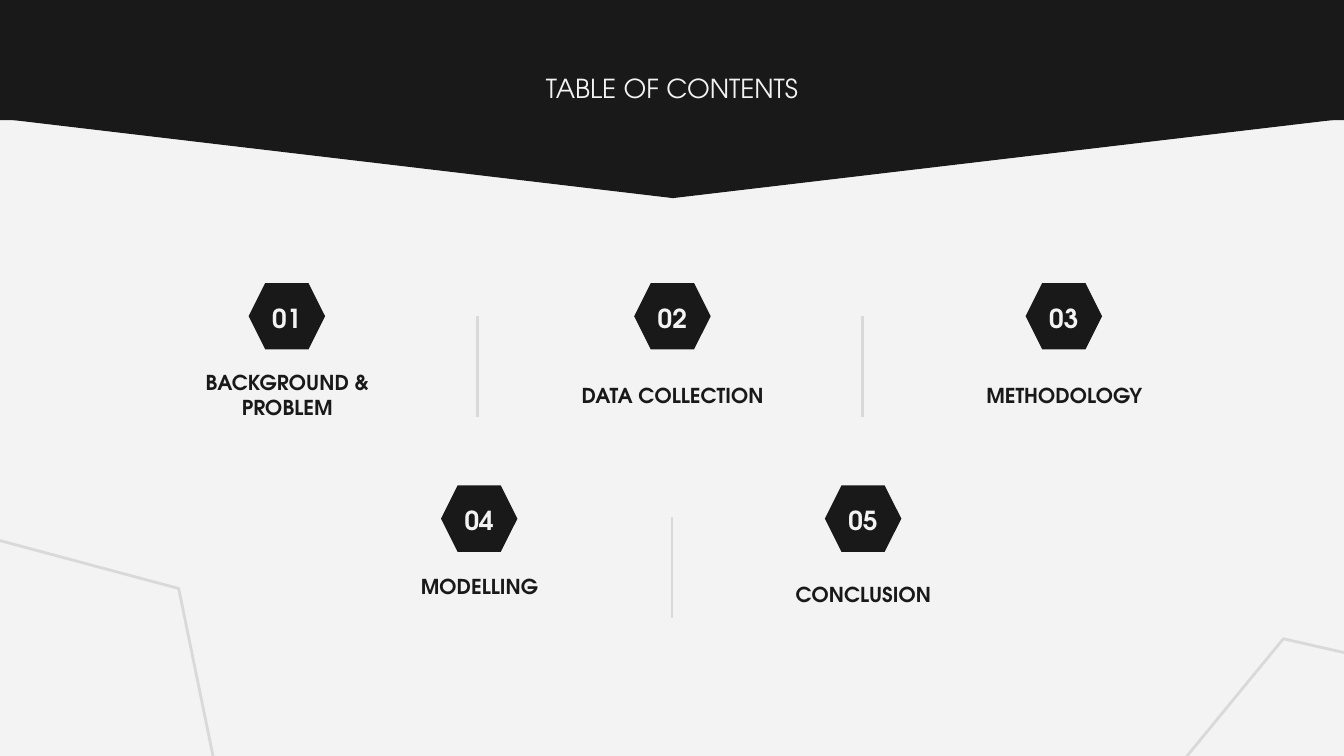
"""Build the table of contents slide: a pointed header band and five numbered sections."""
from lxml import etree
from pptx import Presentation
from pptx.dml.color import RGBColor
from pptx.enum import shapes, text
from pptx.oxml.ns import qn
from pptx.util import Pt

PX = 5715
THEME = {
    "font": "TeX Gyre Adventor",
    "dark": RGBColor.from_string("191919"),
    "light": RGBColor.from_string("F3F3F3"),
    "rule": RGBColor.from_string("D9D9D9"),
    "heading": Pt(14),
    "label": Pt(11),
    "rule_width": Pt(1.5),
    "edge_width": Pt(0.75),
}
KIND = shapes.MSO_SHAPE


def add_shape(kind, box, fill=None, line=None, width=None, turn=0):
    shape = slide.shapes.add_shape(kind, *(n * PX for n in box))
    shape.shadow.inherit = False
    shape.rotation = turn
    for part, color in ((shape.fill, fill), (shape.line.fill, line)):
        if color is None:
            part.background()
        else:
            part.solid()
            part.fore_color.rgb = color
    if width:
        shape.line.width = width


def write(holder, box, words, size, color, bold=True, anchor=text.MSO_ANCHOR.MIDDLE):
    holder.left, holder.top, holder.width, holder.height = (n * PX for n in box)
    frame = holder.text_frame
    frame.text = words
    frame_format = {
        "word_wrap": True,
        "auto_size": text.MSO_AUTO_SIZE.NONE,
        "vertical_anchor": anchor,
        **{f"margin_{side}": 16 * PX for side in ("left", "right", "top", "bottom")},
    }
    for name, value in frame_format.items():
        setattr(frame, name, value)
    paragraph = frame.paragraphs[0]
    paragraph.alignment = text.PP_ALIGN.CENTER
    font = paragraph.runs[0].font
    for name, value in {"name": THEME["font"], "size": size, "bold": bold}.items():
        setattr(font, name, value)
    font.color.rgb = color


prs = Presentation()
prs.slide_width, prs.slide_height = 1600 * PX, 900 * PX
slide = prs.slides.add_slide(prs.slide_layouts[5])
slide.background.fill.solid()
slide.background.fill.fore_color.rgb = THEME["light"]

add_shape(KIND.ISOSCELES_TRIANGLE, (-2, 140, 1606, 95), THEME["dark"], THEME["dark"],
          THEME["edge_width"], 180)
add_shape(KIND.RECTANGLE, (-2, -7, 1606, 150), THEME["dark"])

title = slide.shapes.title
write(title, (539, 70, 522, 120), "TABLE OF CONTENTS", THEME["heading"], THEME["light"],
      bold=False, anchor=text.MSO_ANCHOR.TOP)
title.element.getparent().append(title.element)

sections = [
    (296, 337, 410, 120, "BACKGROUND & PROBLEM"),
    (755, 337, 410, 120, "DATA COLLECTION"),
    (1221, 337, 410, 120, "METHODOLOGY"),
    (525, 578, 648, 100, "MODELLING"),
    (982, 578, 648, 120, "CONCLUSION"),
]
for number, (left, top, label_top, label_height, label) in enumerate(sections, 1):
    add_shape(KIND.HEXAGON, (left, top, 91, 79), THEME["dark"])
    texts = [
        ((left - 20, top + 15, 131, 53), f"{number:02}", THEME["heading"], THEME["light"]),
        ((left - 94, label_top, 280, label_height), label, THEME["label"], THEME["dark"]),
    ]
    for box, words, size, color in texts:
        write(slide.shapes.add_textbox(0, 0, 0, 0), box, words, size, color)

for x, y in ((568, 376), (1027, 376), (800, 616)):
    divider = slide.shapes.add_connector(
        shapes.MSO_CONNECTOR.STRAIGHT, x * PX, y * PX, x * PX, (y + 120) * PX)
    divider.line.color.rgb = THEME["rule"]
    divider.line.width = THEME["rule_width"]
    etree.SubElement(divider.element.spPr, qn("a:effectLst"))

for left, top, turn in ((-250, 653, 15), (1326, 808, 309.4)):
    add_shape(KIND.HEXAGON, (left, top, 517, 405), line=THEME["rule"],
              width=THEME["rule_width"], turn=turn)

prs.save("out.pptx")
